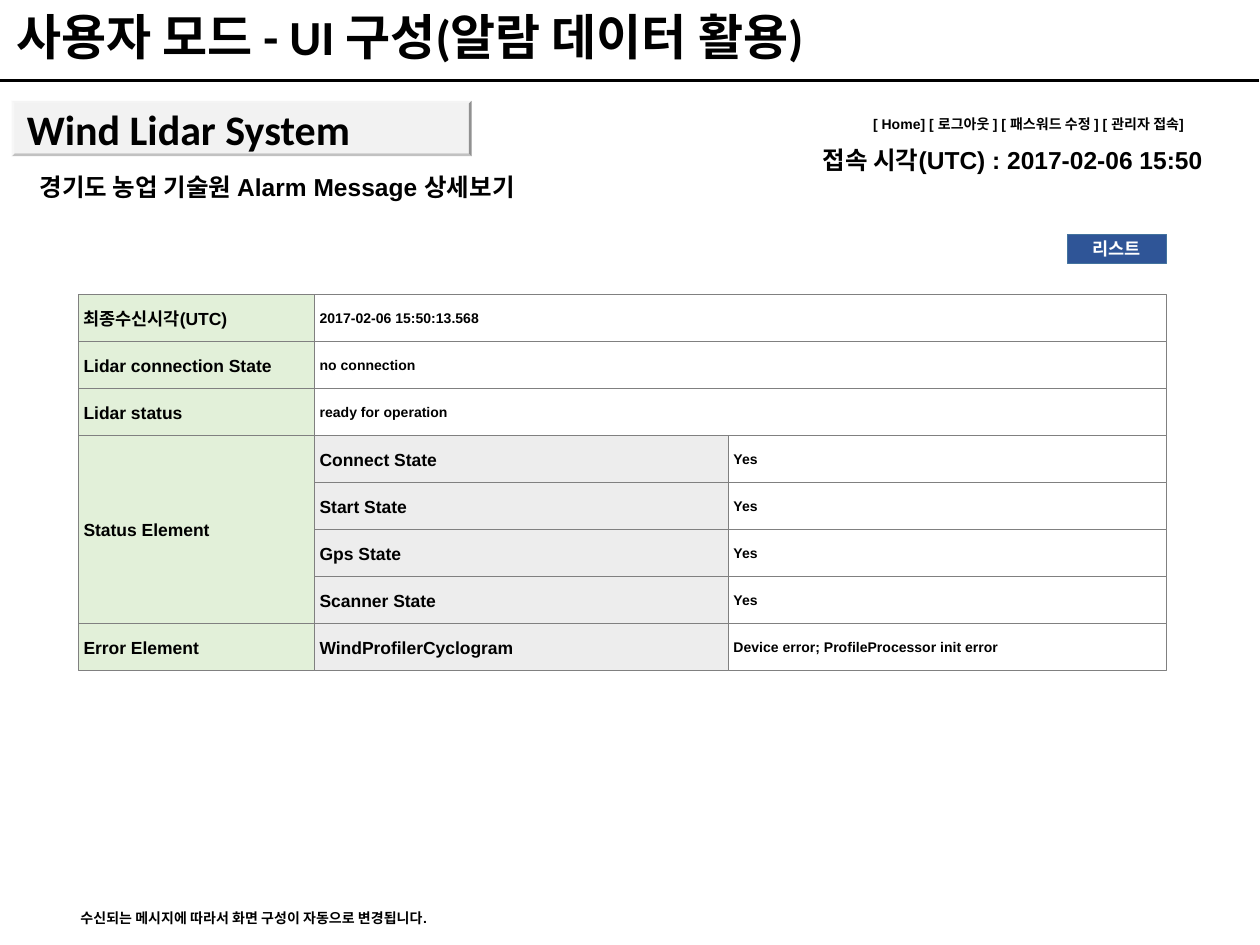
"""Build the alarm detail slide of the Wind Lidar System."""
from dataclasses import dataclass

import pptx
import pptx.dml.color
import pptx.enum.shapes
import pptx.enum.text
import pptx.oxml
import pptx.oxml.ns
import pptx.util

Pt = pptx.util.Pt
Shape = pptx.enum.shapes.MSO_SHAPE
Align = pptx.enum.text.PP_ALIGN
Anchor = pptx.enum.text.MSO_ANCHOR
Fit = pptx.enum.text.MSO_AUTO_SIZE

BLACK, WHITE, GREEN, GRAY = "000000", "FFFFFF", "E2F0D9", "EDEDED"
LEFT, MID, SPLIT, RIGHT = 44.9, 179.8, 416.3, 666.7
TOP, STEP, HIGH = 168.3, 26.85, 27


@dataclass
class Font:
    size: float
    name: str = "Arial"
    color: str = BLACK


@dataclass
class Box:
    text: str
    x: float
    y: float
    w: float
    h: float
    font: Font
    fill: str = WHITE
    line: str = "808080"
    width: float = 0.75


@dataclass
class Row:
    start: int
    label: str
    pairs: list[tuple[str, str]]


HEAD, BODY = Font(10), Font(8)


def paint(target, color: str) -> None:
    """Give a color format the hex color."""
    target.rgb = pptx.dml.color.RGBColor.from_string(color)


def write(frame, text: str, font: Font, align=Align.LEFT) -> None:
    """Set the text of a frame and format its run."""
    frame.text = text
    para = frame.paragraphs[0]
    para.alignment = align
    face = para.runs[0].font
    face.size, face.name, face.bold = Pt(font.size), font.name, True
    paint(face.color, font.color)


def place(shape, x: float, y: float, w: float, h: float) -> None:
    """Move and size a shape in points."""
    shape.left, shape.top, shape.width, shape.height = map(Pt, (x, y, w, h))


def add_label(slide, text: str, x: float, y: float, w: float, h: float, font: Font) -> None:
    """Add a text box that grows with its text."""
    frame = slide.shapes.add_textbox(*map(Pt, (x, y, w, h))).text_frame
    write(frame, text, font)
    frame.word_wrap = False
    frame.auto_size = Fit.SHAPE_TO_FIT_TEXT


def add_box(slide, box: Box, kind=Shape.RECTANGLE, align=Align.LEFT):
    """Add a filled shape with text in its middle."""
    shape = slide.shapes.add_shape(kind, *map(Pt, (box.x, box.y, box.w, box.h)))
    shape.shadow.inherit = False
    shape.fill.solid()
    paint(shape.fill.fore_color, box.fill)
    if box.width:
        shape.line.width = Pt(box.width)
        paint(shape.line.color, box.line)
    else:
        shape.line.fill.background()
    write(shape.text_frame, box.text, box.font, align)
    shape.text_frame.vertical_anchor = Anchor.MIDDLE
    shape.text_frame.word_wrap = align == Align.CENTER
    return shape


def add_cell(slide, text: str, x: float, end: float, row: int, font: Font, fill: str, span: int = 1) -> None:
    """Add one cell of the status grid."""
    high = HIGH + (span - 1) * STEP
    shape = add_box(slide, Box(text, x, TOP + row * STEP, end - x, high, font, fill))
    frame = shape.text_frame
    frame.margin_left = frame.margin_right = Pt(2.83)
    frame.margin_top = frame.margin_bottom = 0


def add_row(slide, row: Row) -> None:
    """Add a row label and the cells beside it."""
    add_cell(slide, row.label, LEFT, MID, row.start, HEAD, GREEN, len(row.pairs))
    for i, (name, value) in enumerate(row.pairs, row.start):
        if name:
            add_cell(slide, name, MID, SPLIT, i, HEAD, GRAY)
        add_cell(slide, value, SPLIT if name else MID, RIGHT, i, BODY, WHITE)


def add_title(slide, text: str) -> None:
    """Fill the title and draw the rule below it."""
    title = slide.shapes.title
    place(title, 2, 2, 715, 39.6)
    frame = title.text_frame
    write(frame, text, Font(28, "Calibri"))
    frame.vertical_anchor = Anchor.BOTTOM
    frame.word_wrap = True
    frame.auto_size = Fit.NONE
    frame.paragraphs[0].line_spacing = 0.9
    rule = slide.shapes.add_connector(
        pptx.enum.shapes.MSO_CONNECTOR.STRAIGHT, 0, Pt(46), Pt(719.3), Pt(46))
    rule.line.width = Pt(2.25)
    paint(rule.line.color, BLACK)
    rule.element.spPr.append(pptx.oxml.parse_xml(
        f"<a:effectLst {pptx.oxml.ns.nsdecls('a')}/>"))


def main() -> None:
    """Draw the slide and save it."""
    deck = pptx.Presentation()
    deck.slide_width, deck.slide_height = Pt(720), Pt(540)
    slide = deck.slides.add_slide(deck.slide_layouts[5])
    add_title(slide, "사용자 모드 - UI 구성(알람 데이터 활용)")
    add_label(slide, "수신되는 메시지에 따라서 화면 구성이 자동으로 변경됩니다.", 38.9, 516.2, 239, 17, BODY)
    add_label(slide, "경기도 농업 기술원 Alarm Message 상세보기", 15.6, 95, 308, 24.2, Font(14))
    add_label(slide, "접속 시각(UTC) : 2017-02-06 15:50", 463, 79.2, 245.5, 24.2, Font(14))
    banner = add_box(slide, Box("Wind Lidar System", 6.7, 57.6, 262.8, 31.7,
                                Font(24, "Calibri"), "F2F2F2", width=0), Shape.BEVEL)
    banner.adjustments[0] = 0.05
    states = ["Connect State", "Start State", "Gps State", "Scanner State"]
    rows = [
        Row(0, "최종수신시각(UTC)", [("", "2017-02-06 15:50:13.568")]),
        Row(1, "Lidar connection State", [("", "no connection")]),
        Row(2, "Lidar status", [("", "ready for operation")]),
        Row(3, "Status Element", [(state, "Yes") for state in states]),
        Row(7, "Error Element", [("WindProfilerCyclogram", "Device error; ProfileProcessor init error")]),
    ]
    for row in rows:
        add_row(slide, row)
    add_box(slide, Box("리스트", 609.8, 133.9, 56.9, 16.6, Font(10, "Calibri", WHITE),
                       "2F5597", "43739E", 0.25), align=Align.CENTER)
    add_label(slide, "[ Home] [ 로그아웃 ] [ 패스워드 수정 ] [ 관리자 접속]", 491.8, 62.6, 213.8, 17, BODY)
    deck.save("out.pptx")


if __name__ == "__main__":
    main()
